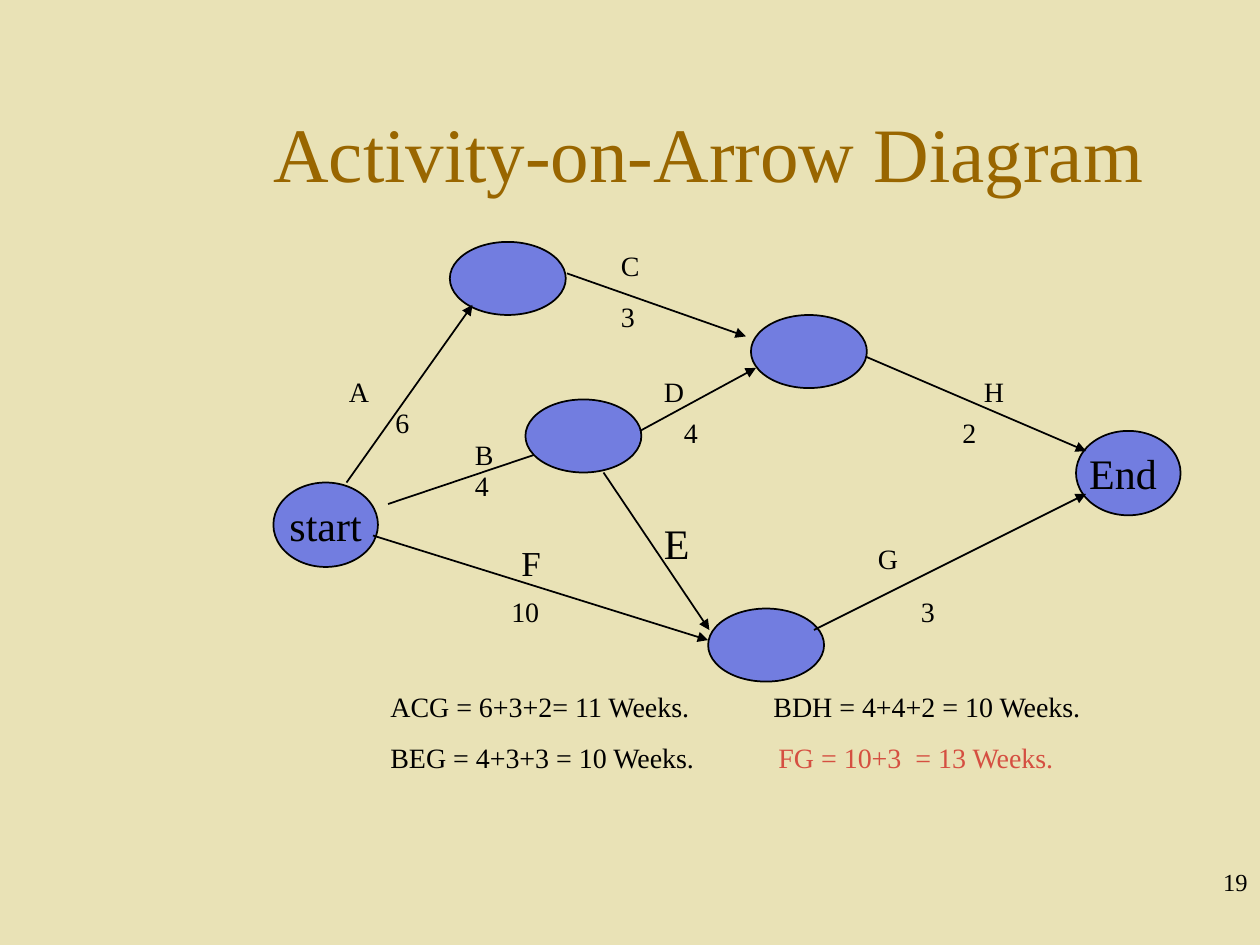
from typing import NamedTuple

from lxml import etree
from pptx import Presentation
from pptx.dml.color import RGBColor
from pptx.enum import shapes, text
from pptx.oxml import ns
from pptx.util import Inches, Pt

FONT = "Times New Roman"
BACKGROUND, TITLE, INK, NODE, CRITICAL = "E9E2B6", "996600", "000000", "727DE0", "D54F41"
ALIGN, ANCHOR = text.PP_ALIGN, text.MSO_ANCHOR


class Node(NamedTuple):
    x: float
    y: float
    w: float = 0.92
    h: float = 0.58
    label: str = ""


class Arrow(NamedTuple):
    x1: float
    y1: float
    x2: float
    y2: float


class Label(NamedTuple):
    x: float
    y: float
    words: str
    size: int = 16
    w: float = 0.5
    h: float = 0.37


NODES = [
    Node(2.17, 3.83, 0.83, 0.67, "start"),
    Node(8.54, 3.42, 0.83, 0.67, "End "),
    Node(3.57, 1.92),
    Node(4.17, 3.17),
    Node(5.96, 2.5),
    Node(5.62, 4.83),
]
ARROW_B = Arrow(3.08, 4, 4.33, 3.58)
ARROWS = [
    Arrow(2.96, 4.25, 5.62, 5.08),  # F
    Arrow(4.5, 2.17, 5.92, 2.67),  # C
    Arrow(5.08, 3.42, 6, 2.92),  # D
    Arrow(2.75, 3.83, 3.75, 2.42),  # A
    Arrow(6.46, 5, 8.62, 3.92),  # G
    Arrow(6.87, 2.83, 8.62, 3.58),  # H
    Arrow(4.79, 3.75, 5.63, 5),  # E
]
LABELS = [
    Label(2.67, 2.92, "A"), Label(3.04, 3.17, "6"),
    Label(3.67, 3.42, "B"), Label(3.67, 3.67, "4"),
    Label(4.83, 1.92, "C"), Label(4.83, 2.33, "3"),
    Label(5.17, 2.92, "D"), Label(5.33, 3.25, "4"),
    Label(5.17, 4.06, "E", 24, 0.67, 0.5),
    Label(4.04, 4.25, "F", 20, h=0.44), Label(3.96, 4.67, "10"),
    Label(6.87, 4.25, "G"), Label(7.21, 4.67, "3"),
    Label(7.71, 2.92, "H"), Label(7.54, 3.25, "2"),
]
# Each row holds two paths with their colours
RESULTS = [
    [("ACG = 6+3+2= 11 Weeks.", INK), ("BDH = 4+4+2 = 10 Weeks.", INK)],
    [("BEG = 4+3+3 = 10 Weeks.", INK), ("FG = 10+3  = 13 Weeks.", CRITICAL)],
]
RESULT_TABS = [3.04, 3.08]


def rgb(value: str) -> RGBColor:
    return RGBColor.from_string(value)


def style(p, size: float, color: str = INK, align=ALIGN.LEFT) -> None:
    p.alignment = align
    p.font.name, p.font.size = FONT, Pt(size)
    p.font.color.rgb = rgb(color)


def add_text(s, label: Label, color: str = INK, align=ALIGN.LEFT, anchor=ANCHOR.TOP):
    sp = s.shapes.add_textbox(*map(Inches, (label.x, label.y, label.w, label.h)))
    tf = sp.text_frame
    tf.word_wrap, tf.vertical_anchor = True, anchor
    p = tf.paragraphs[0]
    p.text = label.words
    style(p, label.size, color, align)
    return tf


def add_node(s, node: Node) -> None:
    sp = s.shapes.add_shape(
        shapes.MSO_SHAPE.OVAL, *map(Inches, (node.x, node.y, node.w, node.h)))
    sp.shadow.inherit = False
    sp.fill.solid()
    sp.fill.fore_color.rgb = rgb(NODE)
    sp.line.color.rgb = rgb(INK)
    sp.line.width = Pt(1)
    if node.label:
        tf = sp.text_frame
        tf.word_wrap, tf.vertical_anchor = False, ANCHOR.MIDDLE
        p = tf.paragraphs[0]
        p.text = node.label
        style(p, 24, align=ALIGN.CENTER)


def add_arrow(s, arrow: Arrow) -> None:
    c = s.shapes.add_connector(shapes.MSO_CONNECTOR.STRAIGHT, *map(Inches, arrow))
    c.line.color.rgb = rgb(INK)
    c.line.width = Pt(1)
    etree.SubElement(c.line._get_or_add_ln(), ns.qn("a:tailEnd"), type="triangle")
    etree.SubElement(c._element.spPr, ns.qn("a:effectLst"))


def add_results(s) -> None:
    tf = add_text(s, Label(3, 5.42, "", 16, 6.25, 0.77))
    for i, (row, stop) in enumerate(zip(RESULTS, RESULT_TABS)):
        p = tf.add_paragraph() if i else tf.paragraphs[0]
        style(p, 16)
        p.space_before = Pt(10)
        tabs = etree.Element(ns.qn("a:tabLst"))
        etree.SubElement(tabs, ns.qn("a:tab"), pos=str(Inches(stop)), algn="l")
        p._p.get_or_add_pPr().insert_element_before(tabs, "a:defRPr", "a:extLst")
        for j, (words, color) in enumerate(row):
            r = p.add_run()
            r.text = "\t" + words if j else words
            r.font.color.rgb = rgb(color)


def main() -> None:
    prs = Presentation()
    prs.slide_width, prs.slide_height = Inches(10), Inches(7.5)
    s = prs.slides.add_slide(prs.slide_layouts[6])
    s.background.fill.solid()
    s.background.fill.fore_color.rgb = rgb(BACKGROUND)

    # Title
    add_text(s, Label(1.5, 0.58, "Activity-on-Arrow Diagram", 44, 8.25, 1.25),
             TITLE, ALIGN.CENTER, ANCHOR.MIDDLE)

    # Network: arrow B runs behind its node
    add_arrow(s, ARROW_B)
    for node in NODES:
        add_node(s, node)
    for arrow in ARROWS:
        add_arrow(s, arrow)
    for label in LABELS:
        add_text(s, label)

    # Path lengths and page number
    add_results(s)
    add_text(s, Label(7.92, 6.83, "19", 14, 2.08, 0.5), align=ALIGN.RIGHT)

    prs.save("out.pptx")


if __name__ == "__main__":
    main()
